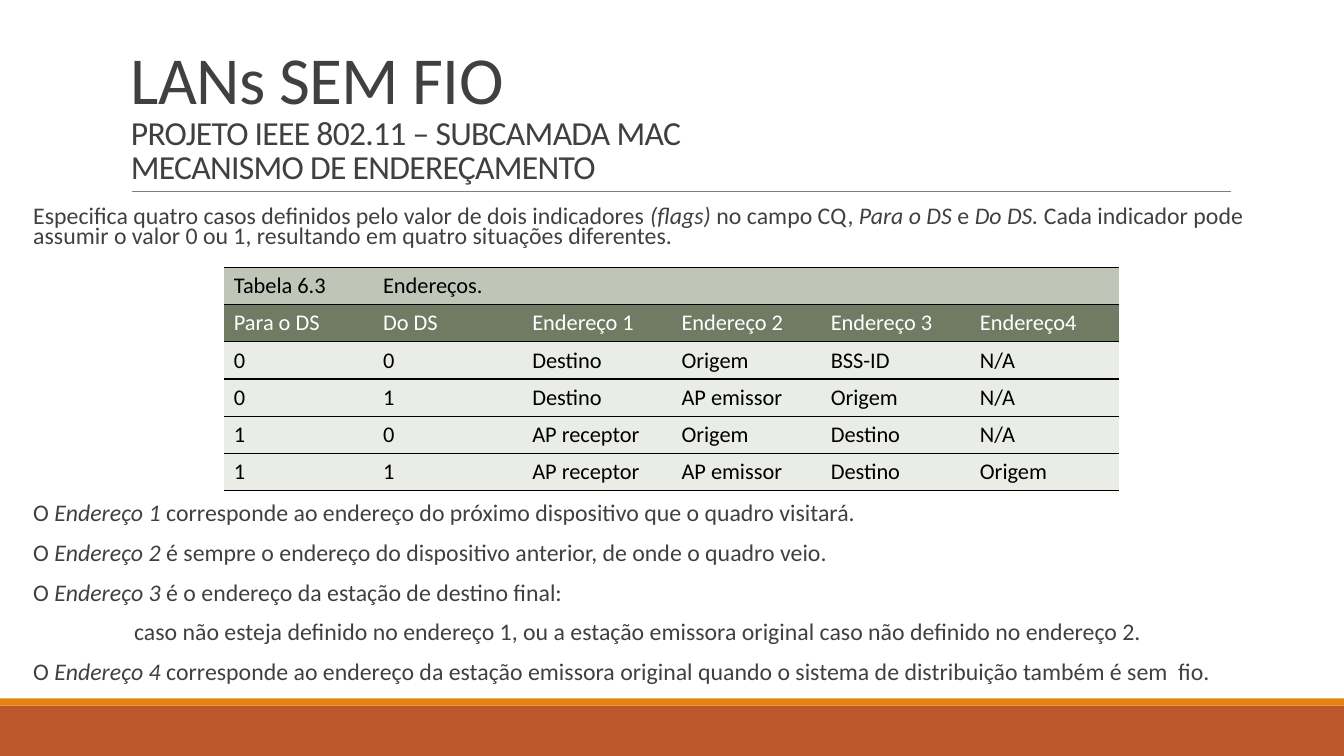
from lxml.etree import SubElement
from pptx import Presentation
from pptx.dml.color import RGBColor
from pptx.enum.shapes import MSO_CONNECTOR, MSO_SHAPE
from pptx.enum.text import MSO_ANCHOR
from pptx.oxml.ns import qn
from pptx.util import Inches, Pt

# Content: in body text, each part is (words, italic)
TITLE = [
    ("LANs SEM FIO", "title"),
    ("PROJETO IEEE 802.11 – SUBCAMADA MAC ", "sub"),
    ("MECANISMO DE ENDEREÇAMENTO", "sub"),
]
INTRO = [
    (0, [("Especifica quatro casos definidos pelo valor de dois indicadores ", False),
         ("(flags) ", True), ("no campo CQ, ", False), ("Para o DS ", True),
         ("e ", False), ("Do DS. ", True),
         ("Cada indicador pode assumir o valor 0 ou 1, "
          "resultando em quatro situações diferentes.", False)]),
]
NOTES = [
    (0, [("O ", False), ("Endereço 1", True),
         (" corresponde ao endereço do próximo dispositivo que o quadro visitará.", False)]),
    (0, [("O ", False), ("Endereço 2", True),
         (" é sempre o endereço do dispositivo anterior, de onde o quadro veio.", False)]),
    (0, [("O", False), (" Endereço 3", True),
         (" é o endereço da estação de destino final:", False)]),
    (1, [("caso não esteja definido no endereço 1, ou a estação emissora "
          "original caso não definido no endereço 2.", False)]),
    (0, [("O", False), (" Endereço 4", True),
         (" corresponde ao endereço da estação emissora original quando o "
          "sistema de distribuição também é sem  fio.", False)]),
]
ROWS = [
    ("Tabela 6.3", "Endereços.", "", "", "", ""),
    ("Para o DS", "Do DS", "Endereço 1", "Endereço 2", "Endereço 3", "Endereço4"),
    ("0", "0", "Destino", "Origem", "BSS-ID", "N/A"),
    ("0", "1", "Destino", "AP emissor", "Origem", "N/A"),
    ("1", "0", "AP receptor", "Origem", "Destino", "N/A"),
    ("1", "1", "AP receptor", "AP emissor", "Destino", "Origem"),
]
THEME = {
    "font": "Calibri",
    "size": {"title": 48, "sub": 24, "body": 17, "cell": 16},
    "text": "404040", "rule": "808080", "edge": "000000",
    "band": "BD582C", "strip": "E48312",
    # fill and text colour of table rows
    "rows": {0: ("BFC6B8", "000000"), 1: ("6F7B63", "FFFFFF")},
    "plain": ("EAECE7", "000000"),
}
WIDE, HIGH = 13.33, 7.5
ROW_H, COL_W = 0.37, 1.48


def paint(fill, tone):
    fill.solid()
    fill.fore_color.rgb = RGBColor.from_string(tone)


def apply(item, form):
    for name, value in form.items():
        setattr(item, name, value)


def add_run(para, words, kind, tone, italic=False):
    run = para.add_run()
    run.text = words
    apply(run.font, {"name": THEME["font"], "size": Pt(THEME["size"][kind]),
                     "italic": italic})
    run.font.color.rgb = RGBColor.from_string(tone)
    return run


def add_text(slide, box, form):
    frame = slide.shapes.add_textbox(*map(Inches, box)).text_frame
    apply(frame, {"word_wrap": True, **form})
    return frame


def paras(frame, count):
    return [frame.paragraphs[0]] + [frame.add_paragraph() for _ in range(count - 1)]


def add_body(slide, box, items):
    frame = add_text(slide, box, {"margin_left": 0, "margin_right": 0})
    for para, (level, parts) in zip(paras(frame, len(items)), items):
        apply(para, {"line_spacing": 0.7, "space_before": Pt(12), "space_after": Pt(2)})
        para._p.get_or_add_pPr().set("marL", str(Inches(level)))
        for words, italic in parts:
            add_run(para, words, "body", THEME["text"], italic)


def add_edges(cell):
    props = cell._tc.get_or_add_tcPr()
    for side in ("lnL", "lnR"):
        SubElement(SubElement(props, qn("a:" + side), w="0"), qn("a:noFill"))
    for side in ("lnT", "lnB"):
        line = SubElement(props, qn("a:" + side), w=str(Pt(1)))
        SubElement(SubElement(line, qn("a:solidFill")), qn("a:srgbClr"), val=THEME["edge"])


def main():
    deck = Presentation()
    apply(deck, {"slide_width": Inches(WIDE), "slide_height": Inches(HIGH)})
    slide = deck.slides.add_slide(deck.slide_layouts[6])

    # Footer bands
    for top, tall, tone in ((7, 0.5, "band"), (6.93, 0.07, "strip")):
        bar = slide.shapes.add_shape(MSO_SHAPE.RECTANGLE,
                                     *map(Inches, (0, top, WIDE, tall)))
        bar.shadow.inherit = False
        paint(bar.fill, THEME[tone])
        bar.line.fill.background()

    # Rule under the title
    rule = slide.shapes.add_connector(MSO_CONNECTOR.STRAIGHT,
                                      *map(Inches, (1.31, 1.9, 12.21, 1.9)))
    rule.line.width = Pt(0.5)
    paint(rule.line.fill, THEME["rule"])
    SubElement(rule._element.spPr, qn("a:effectLst"))

    # Title
    frame = add_text(slide, (1.2, 0.31, 11, 1.59), {"vertical_anchor": MSO_ANCHOR.BOTTOM})
    for para, (words, kind) in zip(paras(frame, len(TITLE)), TITLE):
        para.line_spacing = 0.85
        run = add_run(para, words, kind, THEME["text"])
        run._r.get_or_add_rPr().set("spc", "-50")

    # Body text above and below the table
    add_body(slide, (0.33, 2.02, 12.67, 0.55), INTRO)
    add_body(slide, (0.33, 4.97, 12.67, 1.95), NOTES)

    # Address table
    rows, cols = len(ROWS), len(ROWS[0])
    table = slide.shapes.add_table(rows, cols, *map(
        Inches, (2.22, 2.65, cols * COL_W, rows * ROW_H))).table
    apply(table, {"first_row": False, "horz_banding": False})
    for col in table.columns:
        col.width = Inches(COL_W)
    for r, row in enumerate(ROWS):
        table.rows[r].height = Inches(ROW_H)
        fill, tone = THEME["rows"].get(r, THEME["plain"])
        for c, words in enumerate(row):
            cell = table.cell(r, c)
            add_edges(cell)
            paint(cell.fill, fill)
            para = cell.text_frame.paragraphs[0]
            if words:
                add_run(para, words, "cell", tone)
            else:  # keeps an empty cell as low as its row
                SubElement(para._p, qn("a:endParaRPr"),
                           sz=str(THEME["size"]["cell"] * 100))

    deck.save("out.pptx")


if __name__ == "__main__":
    main()
